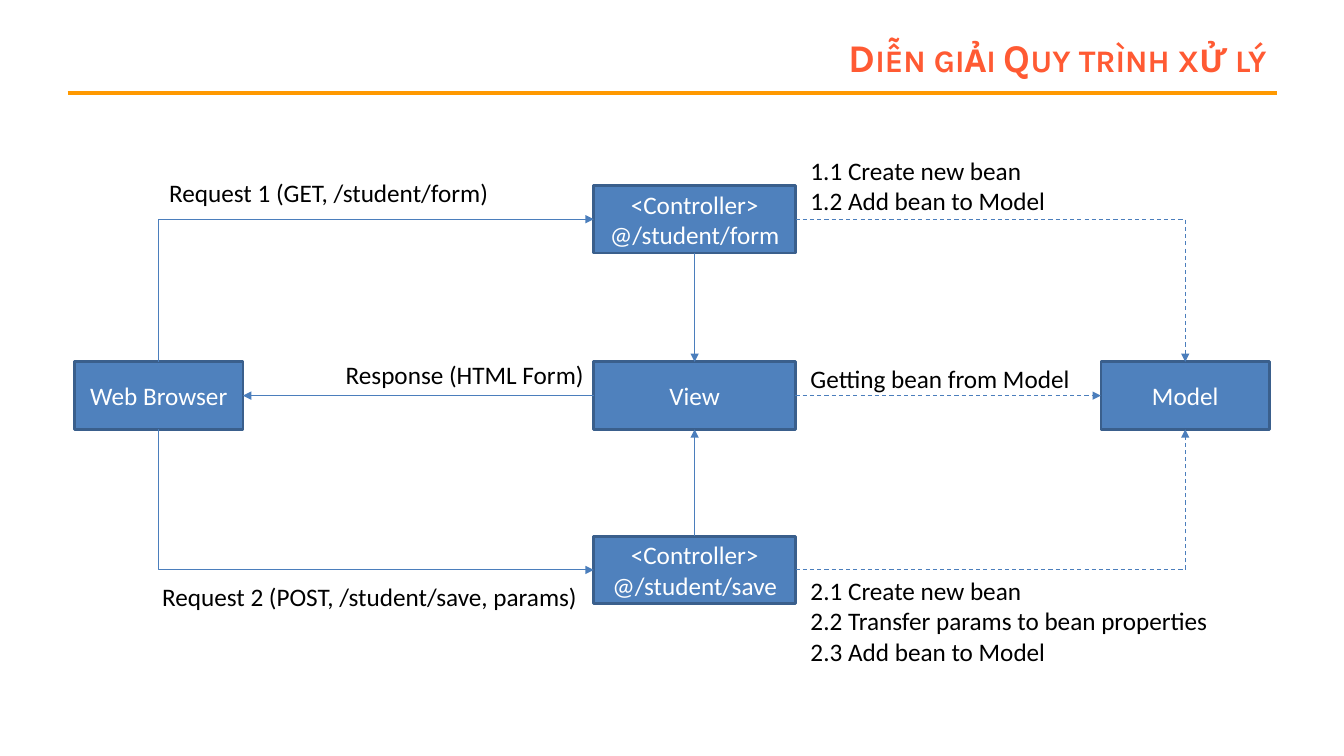
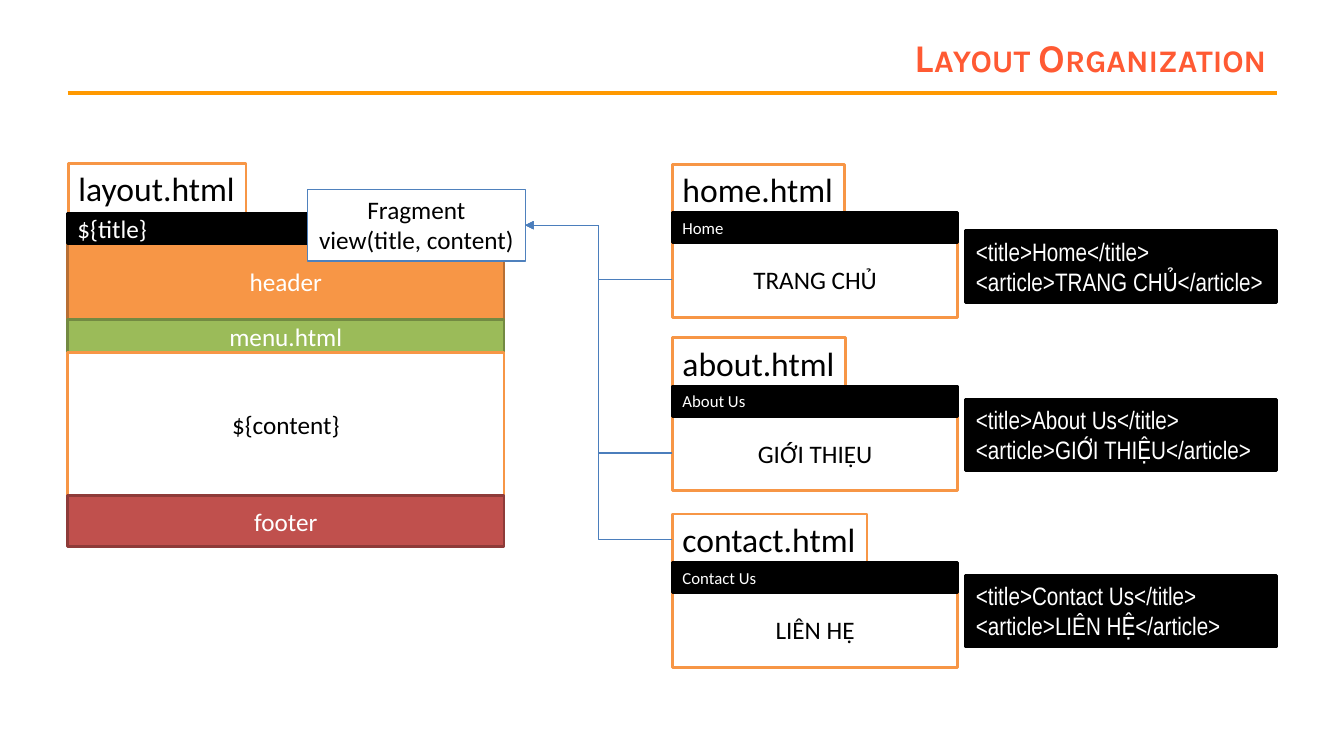
from pptx import Presentation
from pptx.dml.color import RGBColor
from pptx.enum.dml import MSO_LINE
from pptx.enum.shapes import MSO_CONNECTOR, MSO_SHAPE
from pptx.enum.text import MSO_ANCHOR, PP_ALIGN
from pptx.oxml.ns import qn
from pptx.util import Inches, Pt
from lxml import etree

RECT, STEP = MSO_SHAPE.RECTANGLE, MSO_SHAPE.FLOWCHART_PROCESS
STRAIGHT, ELBOW = MSO_CONNECTOR.STRAIGHT, MSO_CONNECTOR.ELBOW
LEFT, CENTER, RIGHT = PP_ALIGN.LEFT, PP_ALIGN.CENTER, PP_ALIGN.RIGHT
TOP, MIDDLE = MSO_ANCHOR.TOP, MSO_ANCHOR.MIDDLE
N, W, S, E = range(4)  # connection sites

BLACK, WHITE, ORANGE, BLUE = "000000", "FFFFFF", "F79646", "4F81BD"
BLUE_EDGE, WIRE, ACCENT, RULE = "3A5F8C", "4B7EBC", "FF5A33", "FF9900"

# Slide 1: name -> (left, top, width, lines)
STEPS = {
    "form": (5.89, 1.84, 2, ["<Controller>", "@/student/form"]),
    "model": (10.92, 3.59, 1.67, ["Model"]),
    "view": (5.89, 3.59, 2, ["View"]),
    "browser": (0.74, 3.59, 1.67, ["Web Browser"]),
    "save": (5.89, 5.32, 2, ["<Controller>", "@/student/save"]),
}
# from, site, to, site, dashed
FLOWS = [
    ("view", E, "model", W, True),
    ("form", S, "view", N, False),
    ("save", N, "view", S, False),
    ("view", W, "browser", E, False),
]
# controller, site on the browser and the model
CORNERS = [("form", N), ("save", S)]
LABELS = [
    (1.58, 1.71, 3.4, ["Request 1 (GET, /student/form)"]),
    (1.51, 5.72, 4.36, ["Request 2 (POST, /student/save, params)"]),
    (7.94, 3.56, 2.81, ["Getting bean from Model"]),
    (7.94, 1.49, 2.56, ["1.1 Create new bean", "1.2 Add bean to Model"]),
    (7.94, 5.66, 4.18, ["2.1 Create new bean",
                        "2.2 Transfer params to bean properties",
                        "2.3 Add bean to Model"]),
    (3.33, 3.52, 2.59, ["Response (HTML Form)"]),
]

# Slide 2: text, height, fill, edge, ink
BANDS = [
    ("header", 0.75, ORANGE, "B76F34", WHITE),
    ("menu.html", 0.33, "9BBB59", "738A42", WHITE),
    ("${content}", 1.42, WHITE, ORANGE, BLACK),
    ("footer", 0.5, "C0504D", "8E3B39", WHITE),
]
# file, tab width, title, article, top, top of code
PAGES = [
    ("home.html", 1.71, "Home", "TRANG CHỦ", 1.63, 2.29),
    ("about.html", 1.72, "About Us", "GIỚI THIỆU", 3.35, 3.96),
    ("contact.html", 1.93, "Contact Us", "LIÊN HỆ", 5.1, 5.71),
]


def rgb(code):
    return RGBColor.from_string(code)


def write(shape, lines, size=18, ink=BLACK, align=LEFT, anchor=TOP,
          font="Calibri", wrap=False):
    """Fill the shape with one paragraph per line and return the runs."""
    frame = shape.text_frame
    frame.word_wrap, frame.vertical_anchor = wrap, anchor
    runs = []
    for i, line in enumerate(lines):
        para = frame.add_paragraph() if i else frame.paragraphs[0]
        para.alignment = align
        run = para.add_run()
        run.text = line
        run.font.name, run.font.size = font, Pt(size)
        run.font.color.rgb = rgb(ink)
        runs.append(run)
    return runs


def label(slide, at, lines, **style):
    return write(slide.shapes.add_textbox(*map(Inches, at)), lines, **style)


def box(slide, at, lines, fill, edge, kind=RECT, width=2, **style):
    shape = slide.shapes.add_shape(kind, *map(Inches, at))
    shape.shadow.inherit = False
    shape.fill.solid()
    shape.fill.fore_color.rgb = rgb(fill)
    shape.line.color.rgb = rgb(edge)
    shape.line.width = Pt(width)
    write(shape, lines, **style)
    return shape


def wire(slide, kind, ends, ink=WIRE, width=0.75):
    line = slide.shapes.add_connector(kind, *map(Inches, ends))
    line.line.color.rgb = rgb(ink)
    line.line.width = Pt(width)
    etree.SubElement(line._element.spPr, qn("a:effectLst"))
    return line


def site(shape, spot):
    """Point in inches at the middle of one side."""
    x = shape.left + shape.width * {W: 0, E: 1}.get(spot, 0.5)
    y = shape.top + shape.height * {N: 0, S: 1}.get(spot, 0.5)
    return x / Inches(1), y / Inches(1)


def join(slide, a, out, b, into, kind=STRAIGHT, dash=False, tip="tailEnd",
         corner=False):
    """Arrow between two shapes; a corner runs level, then upright."""
    line = wire(slide, kind, site(a, out) + site(b, into))
    line.begin_connect(a, out)
    line.end_connect(b, into)
    if dash:
        line.line.dash_style = MSO_LINE.DASH
    props = line._element.spPr
    etree.SubElement(props.find(qn("a:ln")), qn("a:" + tip), type="triangle")
    if corner:
        props.find(qn("a:prstGeom")).set("prst", "bentConnector2")


def start(deck, title):
    slide = deck.slides.add_slide(deck.slide_layouts[6])
    wire(slide, STRAIGHT, (0.67, 0.92, 12.67, 0.92), RULE, 3)
    run, = label(slide, (2.44, 0.3, 10.22, 0.53), [title], size=28,
                 ink=ACCENT, align=RIGHT, anchor=MIDDLE, font="Karla",
                 wrap=True)
    run.font.bold = True
    run._r.get_or_add_rPr().set("cap", "small")
    return slide


def draw_flow(deck):
    slide = start(deck, "Diễn giải Quy trình xử lý")
    steps = {
        name: box(slide, (x, y, w, 0.67), lines, BLUE, BLUE_EDGE, STEP,
                  ink=WHITE, align=CENTER, anchor=MIDDLE, wrap=True)
        for name, (x, y, w, lines) in STEPS.items()}
    for a, out, b, into, dash in FLOWS:
        join(slide, steps[a], out, steps[b], into, dash=dash)
    for name, into in CORNERS:
        join(slide, steps[name], W, steps["browser"], into, ELBOW,
             tip="headEnd", corner=True)
        join(slide, steps[name], E, steps["model"], into, ELBOW,
             dash=True, corner=True)
    for x, y, w, lines in LABELS:
        label(slide, (x, y, w, 0.1 + 0.3 * len(lines)), lines)


def draw_layout(deck):
    slide = start(deck, "Layout Organization")
    mid = dict(align=CENTER, anchor=MIDDLE, wrap=True)
    bar = dict(ink=WHITE, anchor=MIDDLE, wrap=True)
    y = 2.42
    for text, h, fill, edge, ink in BANDS:
        box(slide, (0.67, y, 4.33, h), [text], fill, edge, ink=ink, **mid)
        y += h
    box(slide, (0.68, 1.62, 1.76, 0.5), ["layout.html"], WHITE, ORANGE,
        size=24)
    box(slide, (0.67, 2.12, 4.33, 0.3), ["${title}"], BLACK, BLACK, **bar)
    view = box(slide, (3.05, 1.88, 2.16, 0.71),
               ["Fragment", "view(title, content)"], WHITE, BLUE,
               width=0.75, align=CENTER)
    for file, w, title, text, y, low in PAGES:
        body = box(slide, (6.67, y + 0.77, 2.83, 0.75), [text], WHITE,
                   ORANGE, **mid)
        tab = box(slide, (6.67, y, w, 0.5), [file], WHITE, ORANGE, size=24)
        box(slide, (6.67, y + 0.48, 2.83, 0.3), [title], BLACK, BLACK,
            size=12, **bar)
        source = tab if file == "contact.html" else body
        join(slide, source, W, view, E, ELBOW)
        box(slide, (9.58, low, 3.08, 0.71),
            [f"<title>{title}</title>", f"<article>{text}</article>"],
            BLACK, BLACK, ink=WHITE, font="Arial Narrow", wrap=True)


def main():
    deck = Presentation()
    deck.slide_width, deck.slide_height = Inches(13.33), Inches(7.5)
    draw_flow(deck)
    draw_layout(deck)
    deck.save("out.pptx")


if __name__ == "__main__":
    main()
